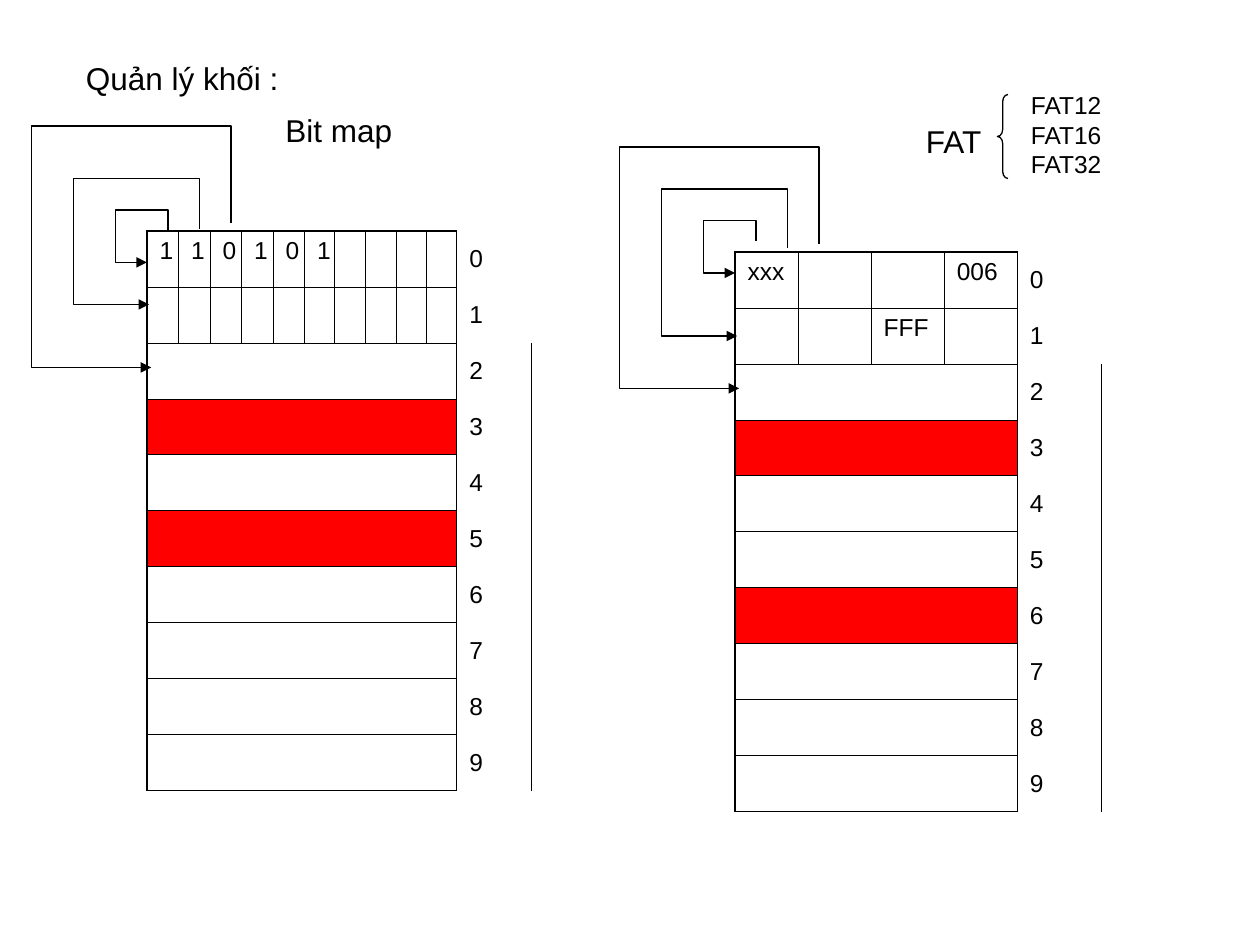
from dataclasses import dataclass

from lxml import etree
from pptx import Presentation
from pptx import util as u
from pptx.dml.color import RGBColor
from pptx.enum import shapes, text
from pptx.oxml.ns import qn


@dataclass(frozen=True)
class Theme:
    ink: str = "000000"
    used: str = "FF0000"
    font: str = "Arial"
    head: int = 18
    body: int = 14
    thin: float = 0.45
    thick: float = 1.08
    wire: float = 0.75
    plain: str = "{2D5ABB26-0587-4C30-8999-92F81FD0307C}"


T = Theme()
COLS, ROWS = 120, 90
WIDE, HIGH = u.Inches(10), u.Inches(7.5)
BLOCKS = 10


def gx(col):
    return round(WIDE * col / COLS)


def gy(row):
    return round(HIGH * row / ROWS)


def put(item, **vals):
    for name, val in vals.items():
        setattr(item, name, val)


def write(frame, lines, size):
    for i, line in enumerate(lines):
        para = frame.paragraphs[0] if i == 0 else frame.add_paragraph()
        run = para.add_run()
        run.text = line
        put(run.font, name=T.font, size=u.Pt(size))
        run.font.color.rgb = RGBColor.from_string(T.ink)


def label(slide, lines, col, row, wide, high, size):
    box = slide.shapes.add_textbox(gx(col), gy(row), gx(wide), gy(high))
    put(box.text_frame, word_wrap=False, auto_size=text.MSO_AUTO_SIZE.SHAPE_TO_FIT_TEXT)
    write(box.text_frame, lines, size)


def stroke(shape):
    shape.shadow.inherit = False
    shape.fill.background()
    shape.line.width = u.Pt(T.wire)
    shape.line.color.rgb = RGBColor.from_string(T.ink)


def arrow(slide, start, top, left, tip):
    pts = [start, (start[0], top), (left, top), (left, tip[1]), tip]
    spots = [(gx(x), gy(y)) for x, y in pts]
    pen = slide.shapes.build_freeform(*spots[0])
    pen.add_line_segments(spots[1:], close=False)
    shape = pen.convert_to_shape()
    stroke(shape)
    line = shape.line._get_or_add_ln()
    etree.SubElement(line, qn("a:tailEnd"), type="triangle")


def brace(slide, col, row, wide, high):
    shape = slide.shapes.add_shape(
        shapes.MSO_SHAPE.LEFT_BRACE, gx(col), gy(row), gx(wide), gy(high))
    shape.adjustments[0] = 0.67
    stroke(shape)


def edge(cell, **sides):
    props = cell._tc.get_or_add_tcPr()
    for side in "LRTB":
        if side in sides:
            line = etree.SubElement(
                props, qn("a:ln" + side), w=str(u.Pt(sides[side])))
            fill = etree.SubElement(line, qn("a:solidFill"))
            etree.SubElement(fill, qn("a:srgbClr"), val=T.ink)


def disk(slide, col, row, widths, words, used):
    last = len(widths) - 1
    frame = slide.shapes.add_table(
        BLOCKS, last + 1, gx(col), gy(row), u.Inches(sum(widths)), gy(160 / 3))
    table = frame.table
    put(table, first_row=False, horz_banding=False)
    table._tbl.tblPr.find(qn("a:tableStyleId")).text = T.plain
    for i, wide in enumerate(widths):
        table.columns[i].width = u.Inches(wide)
    for r in range(BLOCKS):
        table.rows[r].height = gy(16 / 3)
        for c in range(last):
            cell = table.cell(r, c)
            edge(cell, L=T.thin if c else T.thick, R=T.thin,
                 T=T.thin if r else T.thick,
                 B=T.thick if r == BLOCKS - 1 else T.thin)
            if r in used:
                cell.fill.solid()
                cell.fill.fore_color.rgb = RGBColor.from_string(T.used)
            else:
                cell.fill.background()
            if (r, c) in words:
                write(cell.text_frame, [words[r, c]], T.body)
        if r > 1:
            table.cell(r, 0).merge(table.cell(r, last - 1))
        tag = table.cell(r, last)
        edge(tag, L=T.thin)
        tag.fill.background()
        tag.vertical_anchor = text.MSO_ANCHOR.MIDDLE
        write(tag.text_frame, [str(r)], T.body)


def main():
    deck = Presentation()
    put(deck, slide_width=WIDE, slide_height=HIGH)
    slide = deck.slides.add_slide(deck.slide_layouts[6])

    label(slide, ["Quản lý khối :"], 7, 5, 20.8, 4.8, T.head)
    label(slide, ["Bit map"], 26, 10, 12.6, 4.8, T.head)
    label(slide, ["FAT"], 87, 11, 8, 4.8, T.head)

    bits = {(0, c): bit for c, bit in enumerate("110101")}
    disk(slide, 14, 22, [0.25] * 5 + [0.24, 0.24, 0.25, 0.24, 0.24, 0.59],
         bits, {3, 5})
    disk(slide, 70, 24, [0.5, 0.58, 0.58, 0.58, 0.67],
         {(0, 0): "xxx", (0, 3): "006", (1, 2): "FFF"}, {3, 6})

    for start, top, left, tip in [
        ((16, 22), 20, 11, (14, 25)),
        ((19, 21.8), 17, 7, (14.2, 29)),
        ((22, 21.2), 12, 3, (14.4, 35)),
        ((72, 23), 21, 67, (70, 26)),
        ((75, 23.6), 18, 63, (70.2, 32)),
        ((78, 23.2), 14, 59, (70.4, 37)),
    ]:
        arrow(slide, start, top, left, tip)

    brace(slide, 95, 9, 1, 8)
    label(slide, ["FAT12", "FAT16", "FAT32"], 97, 8, 9.4, 9.6, T.body)
    deck.save("out.pptx")


if __name__ == "__main__":
    main()
